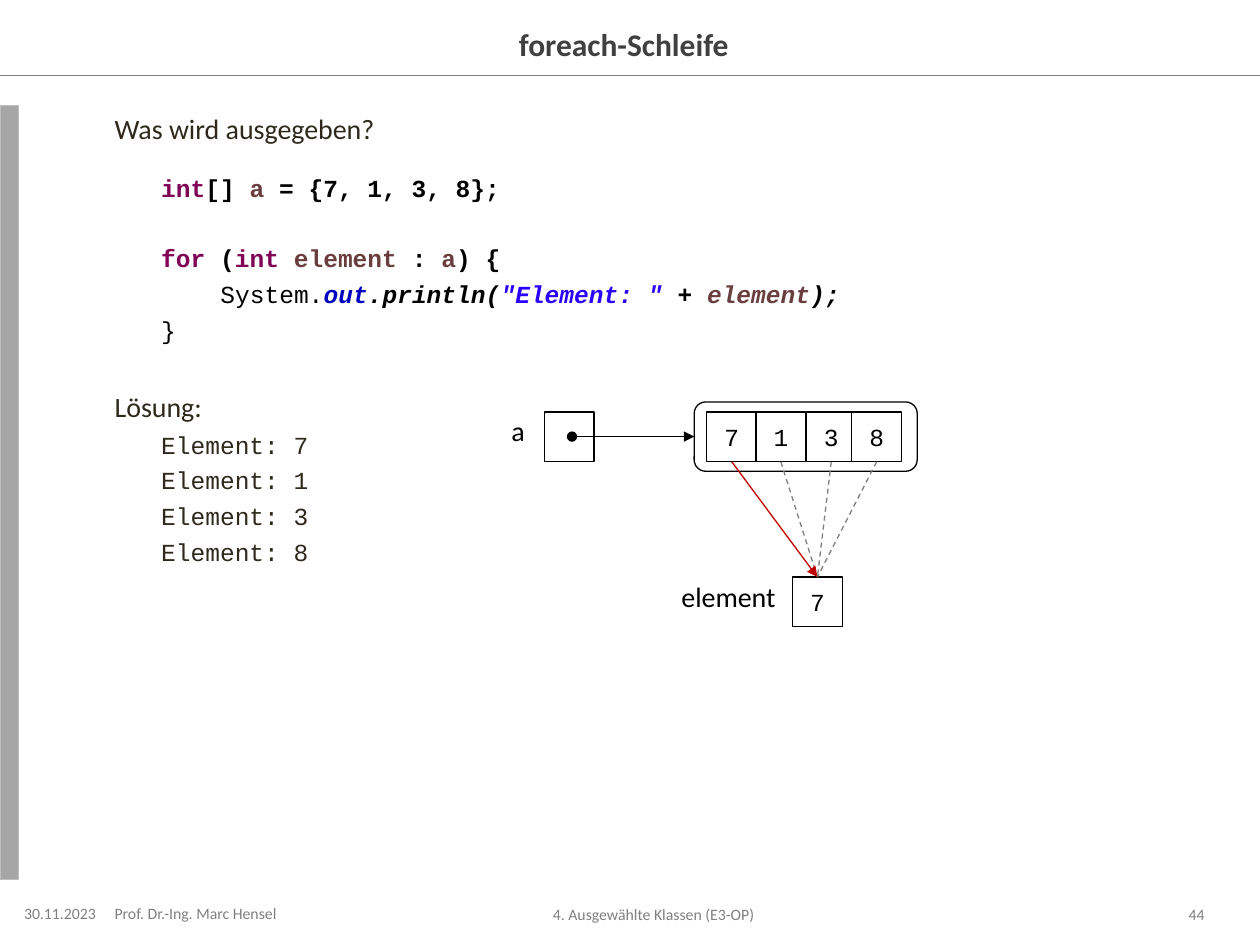
from dataclasses import dataclass
from typing import Any

from lxml.etree import SubElement
from pptx import Presentation
from pptx.dml.color import RGBColor
from pptx.enum.dml import MSO_LINE_DASH_STYLE as Dash
from pptx.enum.shapes import MSO_CONNECTOR as Link, MSO_SHAPE as Preset
from pptx.enum.text import MSO_ANCHOR as Anchor, PP_ALIGN as Align
from pptx.oxml.ns import qn
from pptx.util import Inches, Pt

COLUMNS, ROWS = 100, 75
TOP, LEFT, BOTTOM = 0, 1, 2
CELL = 3.95


def color(code):
    return RGBColor.from_string(code)


@dataclass
class Span:
    text: str
    ink: str = "000000"
    bold: bool = True
    italic: bool = False


@dataclass
class Sketch:
    deck: Any
    page: Any
    sans: str = "Calibri"
    mono: str = "Courier New"
    black: str = "000000"
    gray: str = "808080"
    body_ink: str = "2F291D"
    stroke: float = 0.75

    def x(self, columns):
        return round(self.deck.slide_width * columns / COLUMNS)

    def y(self, rows):
        return round(self.deck.slide_height * rows / ROWS)

    def area(self, left, top, width, height):
        return self.x(left), self.y(top), self.x(width), self.y(height)

    def add_spans(self, para, spans, font, size):
        for span in spans:
            run = para.add_run()
            run.text = span.text
            run.font.name = font
            run.font.size = Pt(size)
            run.font.bold = span.bold
            run.font.italic = span.italic
            run.font.color.rgb = color(span.ink)

    def frame(self, area, insets=(0, 0.1), anchor=Anchor.TOP):
        frame = self.page.shapes.add_textbox(*self.area(*area)).text_frame
        frame.word_wrap = True
        frame.vertical_anchor = anchor
        frame.margin_left, frame.margin_right = map(Inches, insets)
        return frame

    def label(self, area, text, size, ink, align=Align.LEFT, bold=False,
              insets=(0, 0.1), anchor=Anchor.MIDDLE):
        para = self.frame(area, insets, anchor).paragraphs[0]
        para.alignment = align
        self.add_spans(para, [Span(text, ink, bold)], self.sans, size)

    def body(self, area, lines):
        frame = self.frame(area)
        for number, (spans, font, size, before, indent) in enumerate(lines):
            para = frame.add_paragraph() if number else frame.paragraphs[0]
            para.space_before = Pt(before)
            para._p.get_or_add_pPr().set("marL", str(Inches(indent)))
            self.add_spans(para, spans, font, size)

    def shape(self, preset, area, fill=None, line="000000"):
        shape = self.page.shapes.add_shape(preset, *self.area(*area))
        shape.shadow.inherit = False
        if fill:
            shape.fill.solid()
            shape.fill.fore_color.rgb = color(fill)
        else:
            shape.fill.background()
        shape.line.color.rgb = color(line)
        shape.line.width = Pt(self.stroke)
        return shape

    def cell(self, left, top, text=""):
        box = self.shape(Preset.RECTANGLE, (left, top, CELL, CELL), "FFFFFF")
        if text:
            box.text_frame.vertical_anchor = Anchor.MIDDLE
            para = box.text_frame.paragraphs[0]
            para.alignment = Align.CENTER
            self.add_spans(para, [Span(text, self.black, False)], self.mono, 14)
        return box

    def line(self, start, end, ink, source=None, target=None,
             dash=None, head=None, tail=None):
        line = self.page.shapes.add_connector(
            Link.STRAIGHT, self.x(start[0]), self.y(start[1]), self.x(end[0]), self.y(end[1]))
        if source:
            line.begin_connect(*source)
        if target:
            line.end_connect(*target)
        line.line.color.rgb = color(ink)
        line.line.width = Pt(self.stroke)
        if dash:
            line.line.dash_style = dash
        properties = line._element.spPr
        for tag, kind in (("a:headEnd", head), ("a:tailEnd", tail)):
            if kind:
                SubElement(properties.find(qn("a:ln")), qn(tag), type=kind)
        SubElement(properties, qn("a:effectLst"))


def add_text(sketch):
    keyword, variable, field, literal = "7F0055", "6A3E3E", "0000C0", "2A00FF"
    black = sketch.black

    def prose(text, before):
        return [Span(text, sketch.body_ink, False)], sketch.sans, 16, before, 0

    def code(spans, before=3.7, indent=0.37):
        return spans, sketch.mono, 14, before, indent

    lines = [
        prose("Was wird ausgegeben?", 0),
        code([Span("int", keyword), Span("[] "), Span("a", variable),
              Span(" = {7, 1, 3, 8};")], 15.5),
        code([Span("for", keyword), Span(" ("), Span("int ", keyword),
              Span("element", variable), Span(" : "), Span("a", variable),
              Span(") {")], 23.2),
        code([Span("System.", bold=False), Span("out", field, italic=True),
              Span(".println(", black, italic=True),
              Span("\"Element: \"", literal, italic=True),
              Span(" + ", black, italic=True),
              Span("element", variable, italic=True),
              Span(");", black, italic=True)], indent=0.84),
        code([Span("}", bold=False)]),
        prose("Lösung:", 26),
    ]
    lines += [code([Span(f"Element: {value}", sketch.body_ink, False)]) for value in (7, 1, 3, 8)]
    sketch.body((9.1, 8.4, 86.6, 61.4), lines)


def add_diagram(sketch):
    top, low = 32.7, 45.8
    sketch.label((39.6, 32.3, 5.5, 4.1), "a", 16, sketch.black,
                 insets=(0.1, 0.1), anchor=Anchor.TOP)
    sketch.cell(43.2, top)
    array = sketch.shape(Preset.ROUNDED_RECTANGLE, (55.1, 31.9, 17.7, 5.5))
    sketch.line((45.4, 34.65), (55.1, 34.65), sketch.black,
                target=(array, LEFT), head="oval", tail="triangle")
    cells = [sketch.cell(left, top, value)
             for left, value in zip((56.1, 60, 64, 67.6), "7138")]
    sketch.label((53.1, 45.5, 11.7, 4.1), "element", 16, sketch.black,
                 insets=(0.1, 0.1), anchor=Anchor.TOP)
    element = sketch.cell(62.9, low, "7")
    first, *others = cells
    for cell in others:
        sketch.line((60, top), (64, low), sketch.gray, (cell, BOTTOM),
                    (element, TOP), dash=Dash.DASH)
    sketch.line((60, top), (64, low), "C00000", (first, BOTTOM),
                (element, TOP), tail="triangle")


def main():
    deck = Presentation()
    deck.slide_width, deck.slide_height = Inches(10), Inches(7.5)
    sketch = Sketch(deck, deck.slides.add_slide(deck.slide_layouts[6]))
    gray = sketch.gray
    sketch.line((0, 6), (COLUMNS, 6), gray)
    sketch.shape(Preset.RECTANGLE, (0, 8.4, 1.5, 61.4), "A6A6A6", "BFBFBF")
    sketch.label((24.8, 71.8, 55.1, 1.5), "4. Ausgewählte Klassen (E3-OP)", 9, gray, Align.CENTER)
    add_text(sketch)
    sketch.label((12.4, 1.5, 75.2, 3.9), "foreach-Schleife", 18, "404040", Align.CENTER, True)
    sketch.label((1.5, 71.7, 7.5, 1.6), "30.11.2023", 9, gray, Align.CENTER)
    sketch.label((9.1, 71.7, 15, 1.5), "Prof. Dr.-Ing. Marc Hensel", 9, gray)
    sketch.label((89.2, 71.8, 6.4, 1.5), "44", 9, gray, Align.RIGHT, insets=(0.1, 0))
    add_diagram(sketch)
    deck.save("out.pptx")


if __name__ == "__main__":
    main()
